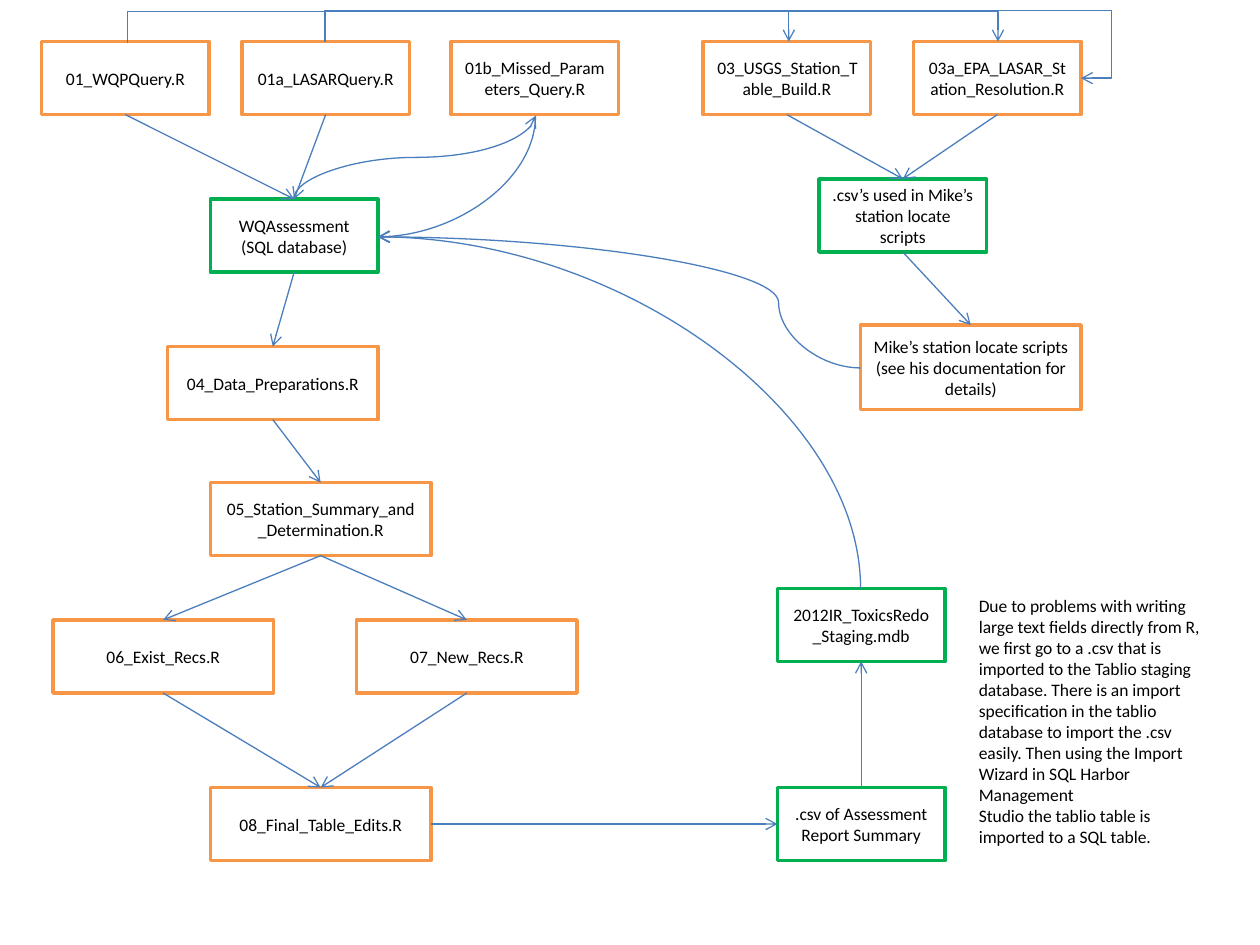
import dataclasses

import lxml.etree
import pptx
import pptx.dml.color
import pptx.enum.shapes
import pptx.enum.text
import pptx.oxml.ns
import pptx.util

Inches = pptx.util.Inches
qn = pptx.oxml.ns.qn
KIND = pptx.enum.shapes.MSO_CONNECTOR
TOP, LEFT, BOTTOM, RIGHT = range(4)


@dataclasses.dataclass(frozen=True)
class Theme:
    font: str = "Calibri"
    size: float = 10
    text: str = "000000"
    fill: str = "FFFFFF"
    script: str = "F79646"
    data: str = "00B050"
    link: str = "4B7EBC"
    edge: float = 2
    thin: float = 0.75


THEME = Theme()

# Key: left, top, width, height, edge colour, lines of text
BOXES = {
    "wqp": (0.33, 0.33, 1.33, 0.58, THEME.script, ["01_WQPQuery.R"]),
    "lasar": (1.92, 0.33, 1.33, 0.58, THEME.script, ["01a_LASARQuery.R"]),
    "missed": (3.58, 0.33, 1.33, 0.58, THEME.script, ["01b_Missed_Parameters_Query.R"]),
    "build": (5.58, 0.33, 1.33, 0.58, THEME.script, ["03_USGS_Station_Table_Build.R"]),
    "solve": (7.25, 0.33, 1.33, 0.58, THEME.script, ["03a_EPA_LASAR_Station_Resolution.R"]),
    "base": (1.67, 1.58, 1.33, 0.58, THEME.data, ["WQAssessment", "(SQL database)"]),
    "csv": (6.5, 1.42, 1.33, 0.58, THEME.data, [".csv’s used in Mike’s station locate scripts"]),
    "locate": (6.83, 2.58, 1.75, 0.67, THEME.script,
               ["Mike’s station locate scripts (see his documentation for details)"]),
    "prep": (1.33, 2.75, 1.67, 0.58, THEME.script, ["04_Data_Preparations.R"]),
    "sum": (1.67, 3.83, 1.75, 0.58, THEME.script, ["05_Station_Summary_and_Determination.R"]),
    "exist": (0.42, 4.92, 1.75, 0.58, THEME.script, ["06_Exist_Recs.R"]),
    "new": (2.83, 4.92, 1.75, 0.58, THEME.script, ["07_New_Recs.R"]),
    "edits": (1.67, 6.25, 1.75, 0.58, THEME.script, ["08_Final_Table_Edits.R"]),
    "stage": (6.17, 4.67, 1.33, 0.58, THEME.data, ["2012IR_ToxicsRedo_Staging.mdb"]),
    "report": (6.17, 6.25, 1.33, 0.58, THEME.data, [".csv of Assessment Report Summary"]),
}

# Straight arrows: from box, side, to box, side
LINKS = [
    ("wqp", BOTTOM, "base", TOP),
    ("lasar", BOTTOM, "base", TOP),
    ("solve", BOTTOM, "csv", TOP),
    ("build", BOTTOM, "csv", TOP),
    ("csv", BOTTOM, "locate", TOP),
    ("base", BOTTOM, "prep", TOP),
    ("prep", BOTTOM, "sum", TOP),
    ("sum", BOTTOM, "exist", TOP),
    ("sum", BOTTOM, "new", TOP),
    ("exist", BOTTOM, "edits", TOP),
    ("new", BOTTOM, "edits", TOP),
    ("edits", RIGHT, "report", LEFT),
    ("report", TOP, "stage", BOTTOM),
]

# Routed arrows: start, end, preset, turn, flips, adjustments
ROUTES = [
    ((2.33, 1.58), (4.25, 0.92), "curvedConnector3", 90, "HV", [0.5]),
    ((4.25, 0.92), (3, 1.88), "curvedConnector2", 90, "", []),
    ((6.83, 4.67), (3, 1.88), "curvedConnector2", 270, "V", []),
    ((6.83, 2.92), (3, 1.88), "curvedConnector3", 180, "", [0.17]),
    ((1.01, 0.34), (6.26, 0.33), "bentConnector3", 90, "HV", [25]),
    ((1.01, 0.34), (7.92, 0.33), "bentConnector3", 90, "HV", [25]),
    ((2.58, 0.33), (8.58, 0.62), "bentConnector4", 270, "H", [-0.86, 1.04]),
]

NOTE = [
    "Due to problems with writing large text fields directly from R,",
    "we first go to a .csv that is imported to the Tablio staging database. "
    "There is an import specification in the tablio database to import the .csv easily. "
    "Then using the Import Wizard in SQL Harbor Management",
    "Studio the tablio table is imported to a SQL table.",
]


def paint(code):
    return pptx.dml.color.RGBColor.from_string(code)


def write(frame, lines, align):
    frame.word_wrap = True
    for i, line in enumerate(lines):
        para = frame.paragraphs[0] if i == 0 else frame.add_paragraph()
        para.alignment = align
        run = para.add_run()
        run.text = line
        run.font.name = THEME.font
        run.font.size = pptx.util.Pt(THEME.size)
        run.font.color.rgb = paint(THEME.text)


def add_box(slide, left, top, width, height, edge, lines):
    box = slide.shapes.add_shape(
        pptx.enum.shapes.MSO_SHAPE.RECTANGLE,
        Inches(left), Inches(top), Inches(width), Inches(height))
    box.shadow.inherit = False
    box.fill.solid()
    box.fill.fore_color.rgb = paint(THEME.fill)
    box.line.color.rgb = paint(edge)
    box.line.width = pptx.util.Pt(THEME.edge)
    box.text_frame.vertical_anchor = pptx.enum.text.MSO_ANCHOR.MIDDLE
    write(box.text_frame, lines, pptx.enum.text.PP_ALIGN.CENTER)
    return box


def add_arrow(slide, kind, start=(0, 0), end=(0, 0)):
    arrow = slide.shapes.add_connector(kind, *(Inches(v) for v in (*start, *end)))
    arrow.line.color.rgb = paint(THEME.link)
    arrow.line.width = pptx.util.Pt(THEME.thin)
    lxml.etree.SubElement(arrow.line._get_or_add_ln(), qn("a:tailEnd"), type="arrow")
    lxml.etree.SubElement(arrow._element.spPr, qn("a:effectLst"))
    return arrow


def add_link(slide, source, out, target, into):
    arrow = add_arrow(slide, KIND.STRAIGHT)
    arrow.begin_connect(source, out)
    arrow.end_connect(target, into)


def add_route(slide, start, end, preset, turn, flips, adjust):
    kind = KIND.CURVE if preset.startswith("curved") else KIND.ELBOW
    arrow = add_arrow(slide, kind, start, end)
    # A quarter turn swaps the sides of the frame about its centre
    wide, high = abs(end[0] - start[0]), abs(end[1] - start[1])
    if turn % 180:
        wide, high = high, wide
    arrow.left = Inches((start[0] + end[0] - wide) / 2)
    arrow.top = Inches((start[1] + end[1] - high) / 2)
    arrow.width, arrow.height = Inches(wide), Inches(high)
    props = arrow._element.spPr
    frame = props.find(qn("a:xfrm"))
    frame.set("rot", str(turn * 60000))
    for axis in "HV":
        frame.set("flip" + axis, str(int(axis in flips)))
    shape = props.find(qn("a:prstGeom"))
    shape.set("prst", preset)
    guides = shape.find(qn("a:avLst"))
    for i, value in enumerate(adjust, 1):
        lxml.etree.SubElement(guides, qn("a:gd"), name=f"adj{i}",
                              fmla=f"val {round(value * 100000)}")


def add_note(slide, left, top, width, height, lines):
    note = slide.shapes.add_textbox(
        Inches(left), Inches(top), Inches(width), Inches(height))
    write(note.text_frame, lines, pptx.enum.text.PP_ALIGN.LEFT)
    note.text_frame.auto_size = pptx.enum.text.MSO_AUTO_SIZE.SHAPE_TO_FIT_TEXT


def main():
    deck = pptx.Presentation()
    deck.slide_width, deck.slide_height = Inches(10), Inches(7.5)
    slide = deck.slides.add_slide(deck.slide_layouts[6])

    # Scripts and data stores
    boxes = {key: add_box(slide, *row) for key, row in BOXES.items()}

    # Flow between them
    for source, out, target, into in LINKS:
        add_link(slide, boxes[source], out, boxes[target], into)
    for route in ROUTES:
        add_route(slide, *route)

    # Remark on the import steps
    add_note(slide, 7.67, 4.67, 2, 2.12, NOTE)

    deck.save("out.pptx")


if __name__ == "__main__":
    main()
